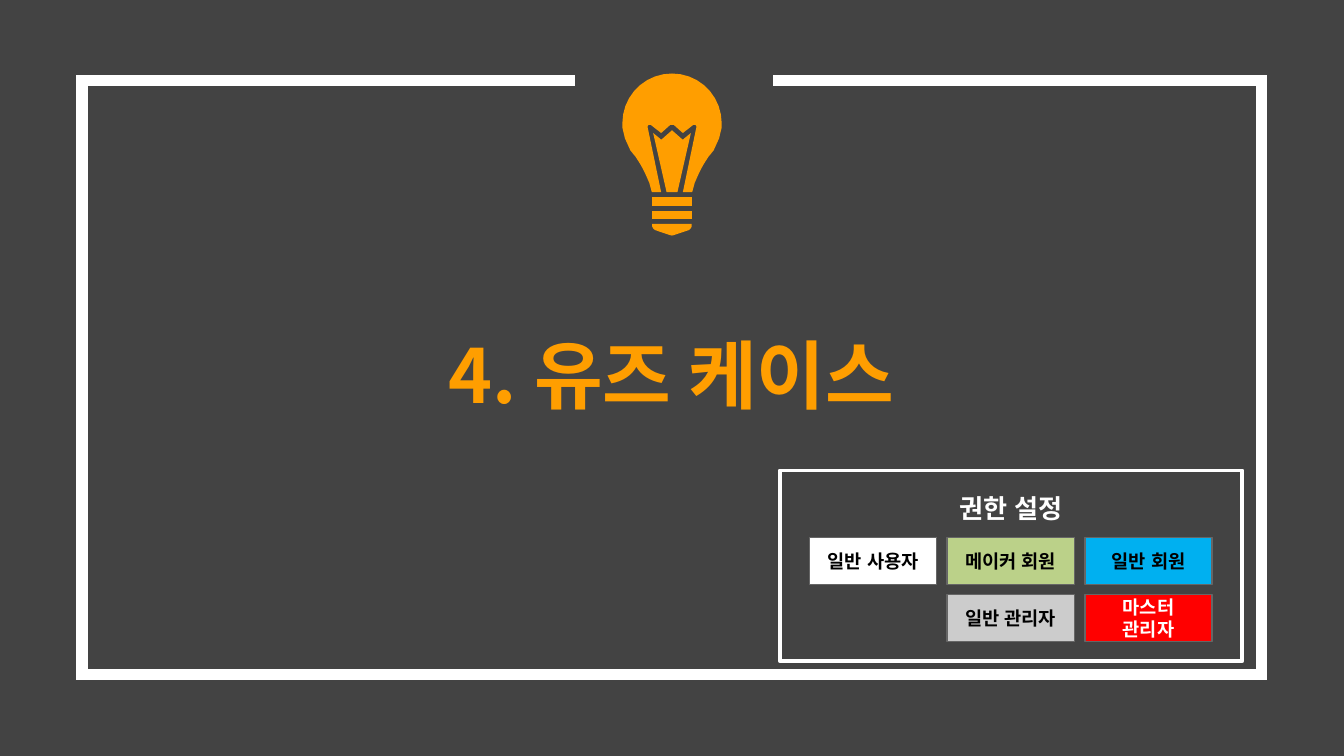
import math

from lxml import etree
from pptx import Presentation
from pptx.dml.color import RGBColor
from pptx.enum.shapes import MSO_SHAPE
from pptx.enum.text import MSO_ANCHOR, PP_ALIGN
from pptx.oxml.ns import qn
from pptx.util import Pt

RECTANGLE = MSO_SHAPE.RECTANGLE
TOP = MSO_ANCHOR.TOP
MIDDLE = MSO_ANCHOR.MIDDLE
CENTER = PP_ALIGN.CENTER

WIDTH, HEIGHT = 720, 405
CENTER_X = WIDTH / 2
DARK, WHITE, BLACK, ORANGE, GRAY = "434343", "FFFFFF", "000000", "FF9E00", "666666"


def color(value):
    return RGBColor.from_string(value)


def mirrored(half):
    right = [(CENTER_X + offset, y) for offset, y in half]
    left = [(CENTER_X - offset, y) for offset, y in reversed(half)]
    return right + left


class SlideBuilder:
    title_font = "Noto Sans CJK KR"
    body_font = "Arial"

    def __init__(self, slide):
        self.slide = slide
        slide.background.fill.solid()
        slide.background.fill.fore_color.rgb = color(DARK)

    def group(self):
        return self.slide.shapes.add_group_shape().shapes

    def paint(self, shape, fill=None, line=None, line_width=0):
        shape.shadow.inherit = False
        if fill:
            shape.fill.solid()
            shape.fill.fore_color.rgb = color(fill)
        else:
            shape.fill.background()
        if line:
            shape.line.color.rgb = color(line)
            shape.line.width = Pt(line_width)
        else:
            shape.line.fill.background()

    def set_text(self, shape, text, size, text_color, font_name, anchor, insets):
        frame = shape.text_frame
        frame.text = text
        frame.word_wrap = True
        frame.vertical_anchor = anchor
        frame.margin_left, frame.margin_top, frame.margin_right, frame.margin_bottom = map(Pt, insets)
        paragraph = frame.paragraphs[0]
        paragraph.alignment = CENTER
        run = paragraph.runs[0]
        run.font.name = font_name
        run.font.size = Pt(size)
        run.font.bold = True
        run.font.color.rgb = color(text_color)
        east_asian = etree.SubElement(run.font._rPr, qn("a:ea"))
        east_asian.set("typeface", font_name)
        return paragraph

    def title(self, text, left, top, width, height):
        title = self.slide.shapes.title
        title.left, title.top, title.width, title.height = map(Pt, (left, top, width, height))
        paragraph = self.set_text(title, text, 40, ORANGE, self.title_font, TOP, (7.2,) * 4)
        paragraph.line_spacing = 0.9

    def outline(self, shapes, points, closed=True, **style):
        points = [(Pt(x), Pt(y)) for x, y in points]
        builder = shapes.build_freeform(*points[0])
        builder.add_line_segments(points[1:], close=closed)
        shape = builder.convert_to_shape()
        self.paint(shape, **style)
        return shape

    def box(self, shapes, bounds, text, size, text_color, anchor, insets, **style):
        shape = shapes.add_shape(RECTANGLE, *map(Pt, bounds))
        self.paint(shape, **style)
        self.set_text(shape, text, size, text_color, self.body_font, anchor, insets)


def add_frame(builder):
    left, top, right, bottom = 44, 43.2, 676, 361.4
    points = [(308, top), (left, top), (left, bottom), (right, bottom), (right, top), (414.4, top)]
    frame = builder.outline(builder.slide.shapes, points, closed=False, line=WHITE, line_width=6)
    line_element = frame.element.spPr.find(qn("a:ln"))
    etree.SubElement(line_element, qn("a:miter")).set("lim", "800000")


def add_bulb(builder):
    radius, middle = 26.6, 66
    dome = [
        (radius * math.sin(math.radians(angle)), middle - radius * math.cos(math.radians(angle)))
        for angle in range(0, 91, 10)
    ]
    neck = [(26.6, 68.4), (25.2, 74.2), (22.3, 80.6), (19.4, 84.2), (16.6, 88.6),
            (14.4, 92.9), (12.2, 97.9), (10.8, 103), (5.8, 103)]
    wire = [(13, 68.4), (13, 67.6), (12.6, 67), (11.3, 67), (5.8, 71.3), (1, 67)]
    filament = [(0, 69.8), (5, 74.2), (5.8, 74.9), (6.5, 74.2), (10.1, 71.3), (2.9, 103)]
    bands = [[(10.6, top), (10.6, top + 4.6)] for top in (105.6, 113)]
    cap = [(10.6, 120), (10.6, 121.4), (9.9, 122.6), (9, 123.3), (1, 126), (0, 126.2)]
    shapes = builder.group()
    for half in (*bands, cap, filament, dome + neck + wire):
        builder.outline(shapes, mirrored(half), fill=ORANGE)


def add_legend(builder):
    roles = [
        ("일반 사용자", 0, 0, WHITE, BLACK),
        ("메이커 회원", 1, 0, "BBD189", BLACK),
        ("일반 회원", 2, 0, "00B0F0", BLACK),
        ("일반 관리자", 1, 1, "CCCCCC", BLACK),
        ("마스터 관리자", 2, 1, "FF0000", WHITE),
    ]
    left, top, column_step, row_step = 433.6, 287.8, 73.8, 30.8
    shapes = builder.group()
    for text, column, row, fill, text_color in roles:
        bounds = (left + column * column_step, top + row * row_step, 68.2, 25.2)
        builder.box(shapes, bounds, text, 10, text_color, MIDDLE, (9,) * 4,
                    fill=fill, line=GRAY, line_width=0.75)
    builder.box(shapes, (417.8, 252, 247.8, 102.2), "권한 설정", 14, WHITE, TOP,
                (7.2, 11.5, 7.2, 3.6), line=WHITE, line_width=2)


def main():
    presentation = Presentation()
    presentation.slide_width, presentation.slide_height = Pt(WIDTH), Pt(HEIGHT)
    slide = presentation.slides.add_slide(presentation.slide_layouts[0])
    subtitle = slide.placeholders[1].element
    subtitle.getparent().remove(subtitle)
    builder = SlideBuilder(slide)
    add_frame(builder)
    builder.title("4. 유즈 케이스", 126, 174.2, 467.6, 91.4)
    add_bulb(builder)
    add_legend(builder)
    presentation.save("out.pptx")


if __name__ == "__main__":
    main()
